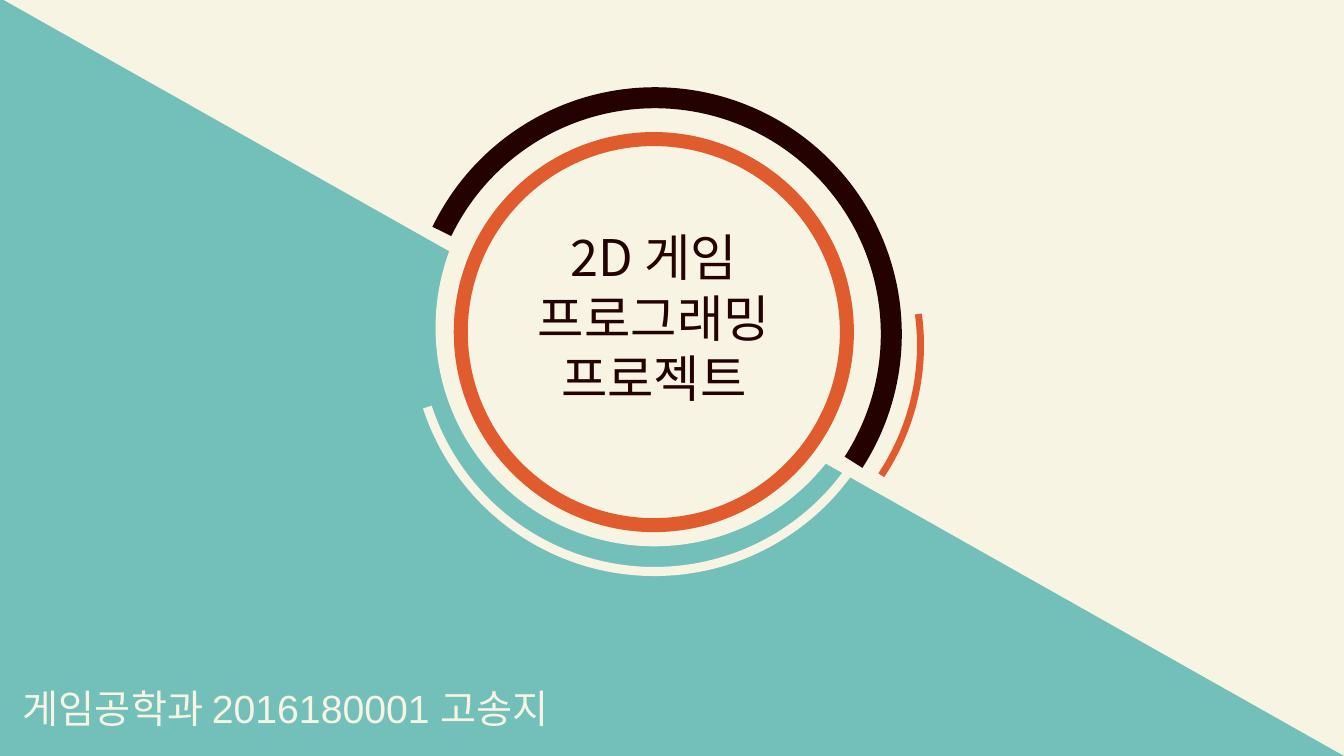
"""Build the title slide of a 2D game programming project."""
from lxml import etree
from pptx import Presentation
from pptx.dml.color import RGBColor
from pptx.enum import shapes, text
from pptx.oxml import ns
from pptx.util import Inches, Pt

CREAM = RGBColor(0xF7, 0xF4, 0xE3)
TEAL = RGBColor(0x73, 0xC0, 0xBA)
ORANGE = RGBColor(0xE0, 0x5B, 0x2E)
DARK = RGBColor(0x24, 0x02, 0x02)
KOREAN = "Noto Sans CJK KR"
KIND = shapes.MSO_SHAPE


def add(kind, box, fill=None, line=None, width=0):
    shape = slide.shapes.add_shape(kind, *map(Inches, box))
    shape.shadow.inherit = False
    if fill is None:
        shape.fill.background()
    else:
        shape.fill.solid()
        shape.fill.fore_color.rgb = fill
    if line is None:
        shape.line.fill.background()
    else:
        shape.line.color.rgb = line
        shape.line.width = Pt(width)
    return shape


def write(frame, words, size, face, color):
    frame.word_wrap = True
    frame.text = words
    run = frame.paragraphs[0].runs[0]
    run.font.size = Pt(size)
    run.font.name = face
    run.font.color.rgb = color
    asian = etree.SubElement(run.font._element, ns.qn("a:ea"))
    asian.set("typeface", KOREAN)


deck = Presentation()
deck.slide_width = Inches(13.33)
deck.slide_height = Inches(7.5)
slide = deck.slides.add_slide(deck.slide_layouts[6])
slide.background.fill.solid()
slide.background.fill.fore_color.rgb = CREAM

slope = add(KIND.ISOSCELES_TRIANGLE, (0, -0.02, 13.33, 7.52), TEAL)
slope.adjustments[0] = 0

add(KIND.OVAL, (4.32, 1.08, 4.34, 4.34), CREAM)
ring = add(KIND.OVAL, (4.57, 1.38, 3.83, 3.83), CREAM, ORANGE, 10)
frame = ring.text_frame
write(frame, "2D 게임 프로그래밍 프로젝트", 36, KOREAN, DARK)
frame.paragraphs[0].alignment = text.PP_ALIGN.CENTER
frame.vertical_anchor = text.MSO_ANCHOR.MIDDLE
frame.margin_bottom = Inches(0.35)

arcs = [
    ((4.12, 0.93, 4.74, 4.74), 125.2, 162, 21.98, CREAM, 6.5),
    ((4.15, 0.97, 4.69, 4.69), 354.2, 126.93, 23.18, DARK, 15),
    ((4.26, 1.06, 4.87, 4.75), 355.4, 214.23, 21.98, ORANGE, 5),
]
for box, turn, start, end, color, width in arcs:
    arc = add(KIND.ARC, box, None, color, width)
    arc.rotation = turn
    arc.adjustments[0] = start
    arc.adjustments[1] = end

author = slide.shapes.add_textbox(*map(Inches, (0.13, 6.74, 6.53, 0.57)))
write(author.text_frame, "게임공학과 2016180001 고송지", 28, "Arial", CREAM)

deck.save("out.pptx")
